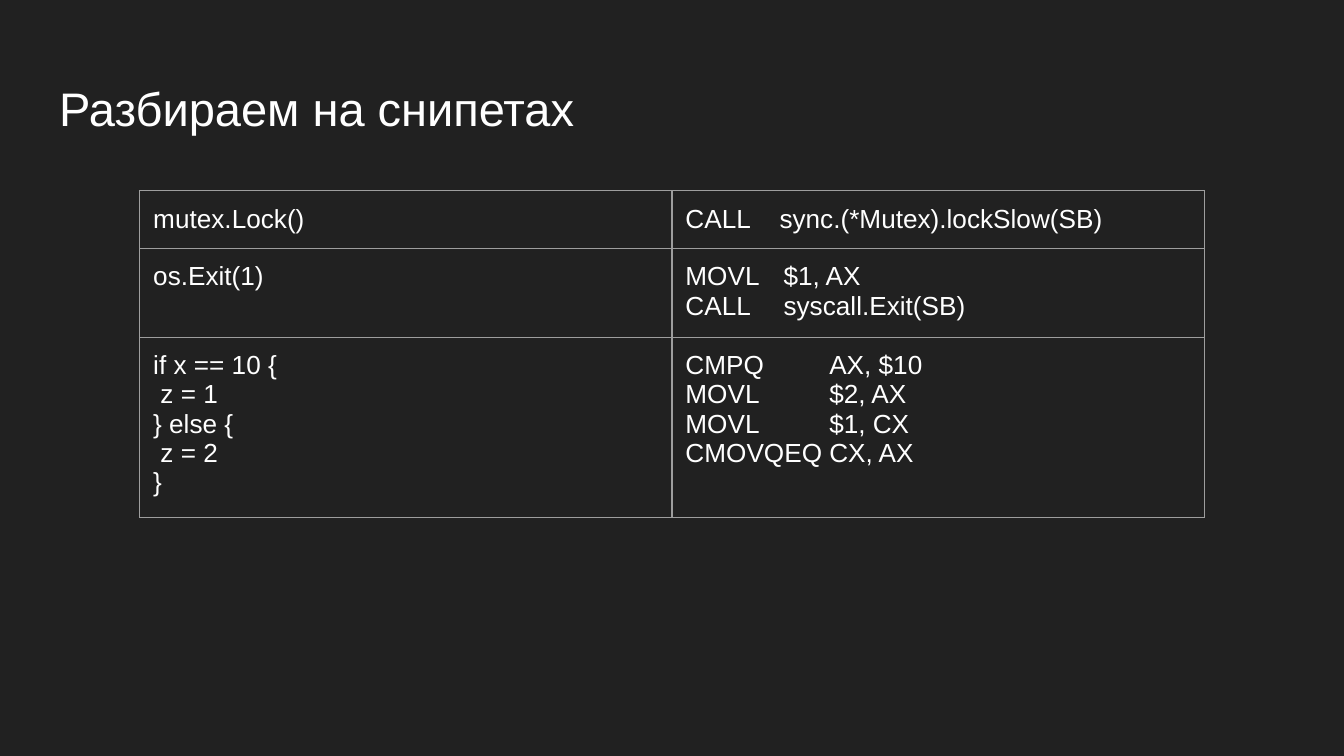
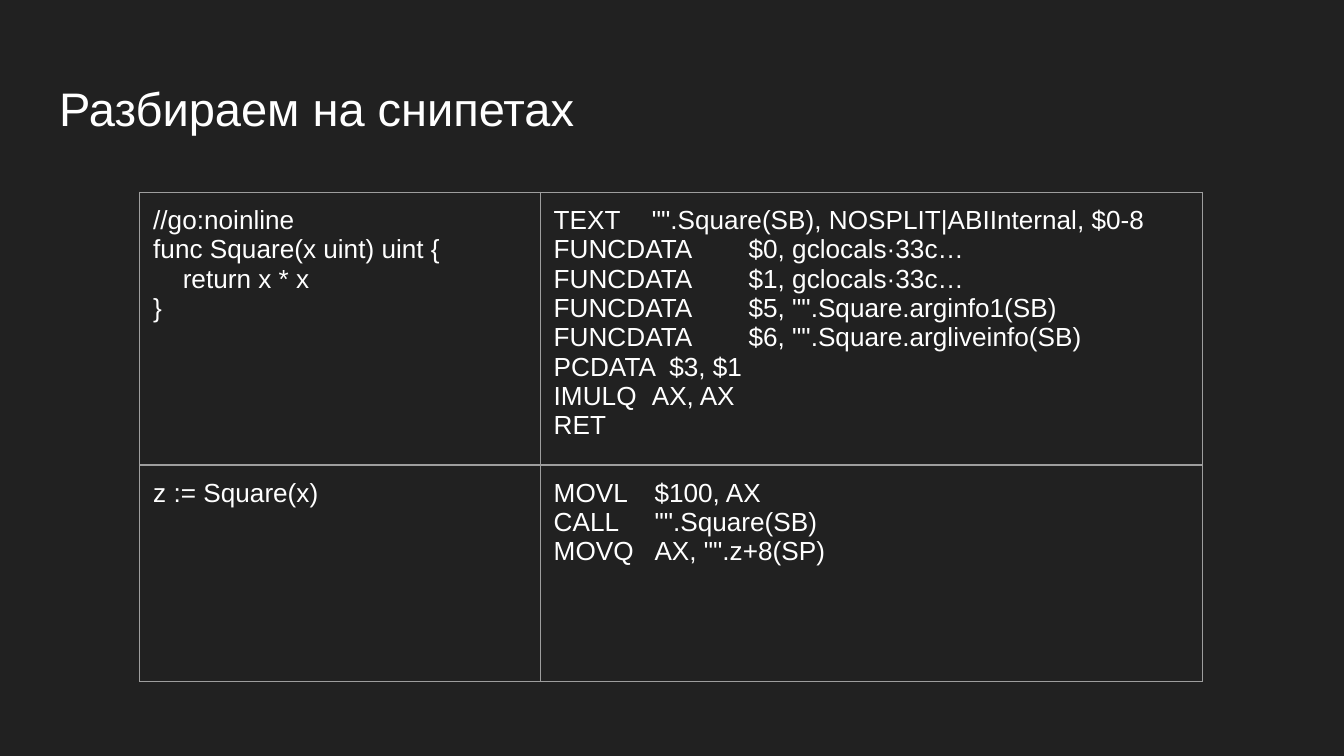
"""Build two dark slides pairing Go snippets with their assembly."""
from dataclasses import dataclass

from lxml import etree
from pptx import Presentation
from pptx import util as u
from pptx.dml.color import RGBColor
from pptx.enum import text
from pptx.oxml.ns import qn


@dataclass(frozen=True)
class Theme:
    bg: str = "212121"
    ink: str = "FFFFFF"
    rule: str = "9E9E9E"
    rule_pt: float = 0.75
    font: str = "Arial"
    title_pt: float = 25.2
    code_pt: float = 14
    inset: float = 0.1


T = Theme()
WIDTH = 10
SIZE = (WIDTH, WIDTH * 9 / 16)
TITLE = "Разбираем на снипетах"
TITLE_BOX = (0.34, 0.49, 9.32, 0.63)
TABLE_LEFT = 1.04

SLIDES = [
    {
        "top": 1.42,
        "cols": [3.96, 3.96],
        "rows": [0.43, 0.66, 1.34],
        "cells": [
            [(["mutex.Lock()"], []),
             (["CALL\tsync.(*Mutex).lockSlow(SB)"], [0.7])],
            [(["os.Exit(1)"], []),
             (["MOVL\t$1, AX", "CALL\tsyscall.Exit(SB)"], [0.73])],
            [(["if x == 10 {", " z = 1", "} else {", " z = 2", "}"], []),
             (["CMPQ\tAX, $10", "MOVL\t$2, AX", "MOVL\t$1, CX",
               "CMOVQEQ\tCX, AX"], [1.07])],
        ],
    },
    {
        "top": 1.43,
        "cols": [2.98, 4.93],
        "rows": [2.03, 1.61],
        "cells": [
            [(["//go:noinline", "func Square(x uint) uint {",
               "\treturn x * x", "}"], [0.22]),
             (['TEXT\t"".Square(SB), NOSPLIT|ABIInternal, $0-8',
               "FUNCDATA\t$0, gclocals·33c…",
               "FUNCDATA\t$1, gclocals·33c…",
               'FUNCDATA\t$5, "".Square.arginfo1(SB)',
               'FUNCDATA\t$6, "".Square.argliveinfo(SB)',
               "PCDATA\t$3, $1", "IMULQ\tAX, AX", "RET"],
              [0.73, 0.86, 1.45])],
            [(["z := Square(x)"], []),
             (["MOVL\t$100, AX", 'CALL\t"".Square(SB)',
               'MOVQ\tAX, "".z+8(SP)'], [0.75])],
        ],
    },
]


def set_all(obj, values):
    for name, value in values.items():
        setattr(obj, name, value)


def insets():
    return {f"margin_{side}": u.Inches(T.inset)
            for side in ("left", "right", "top", "bottom")}


def write(tf, lines, size, stops=()):
    for i, line in enumerate(lines):
        p = tf.paragraphs[0] if i == 0 else tf.add_paragraph()
        p.alignment = text.PP_ALIGN.LEFT
        r = p.add_run()
        r.text = line
        set_all(r.font, {"name": T.font, "size": u.Pt(size), "bold": False})
        r.font.color.rgb = RGBColor.from_string(T.ink)
        if "\t" in line:
            tabs = etree.SubElement(p._p.get_or_add_pPr(), qn("a:tabLst"))
            for stop in stops:
                etree.SubElement(tabs, qn("a:tab"), pos=str(u.Inches(stop)), algn="l")


def add_borders(cell):
    tc_pr = cell._tc.get_or_add_tcPr()
    for side in "LRTB":
        ln = etree.SubElement(tc_pr, qn(f"a:ln{side}"), w=str(u.Pt(T.rule_pt)))
        fill = etree.SubElement(ln, qn("a:solidFill"))
        etree.SubElement(fill, qn("a:srgbClr"), val=T.rule)


def add_title(s):
    sp = s.shapes.title
    set_all(sp, dict(zip(("left", "top", "width", "height"), map(u.Inches, TITLE_BOX))))
    tf = sp.text_frame
    set_all(tf, {**insets(), "word_wrap": True,
                 "vertical_anchor": text.MSO_ANCHOR.MIDDLE,
                 "auto_size": text.MSO_AUTO_SIZE.NONE})
    write(tf, [TITLE], T.title_pt)


def add_snippets(s, data):
    cols, rows = data["cols"], data["rows"]
    table = s.shapes.add_table(
        len(rows), len(cols), u.Inches(TABLE_LEFT), u.Inches(data["top"]),
        u.Inches(sum(cols)), u.Inches(sum(rows))).table
    set_all(table, {"first_row": False, "horz_banding": False})
    for col, width in zip(table.columns, cols):
        col.width = u.Inches(width)
    for row, height, contents in zip(table.rows, rows, data["cells"]):
        row.height = u.Inches(height)
        for cell, (lines, stops) in zip(row.cells, contents):
            set_all(cell, {**insets(), "vertical_anchor": text.MSO_ANCHOR.TOP})
            add_borders(cell)
            cell.fill.background()
            write(cell.text_frame, lines, T.code_pt, stops)


def main():
    prs = Presentation()
    prs.slide_width, prs.slide_height = map(u.Inches, SIZE)
    fill = prs.slide_master.background.fill
    fill.solid()
    fill.fore_color.rgb = RGBColor.from_string(T.bg)
    for data in SLIDES:
        s = prs.slides.add_slide(prs.slide_layouts[5])
        add_title(s)
        add_snippets(s, data)
    prs.save("out.pptx")


if __name__ == "__main__":
    main()
